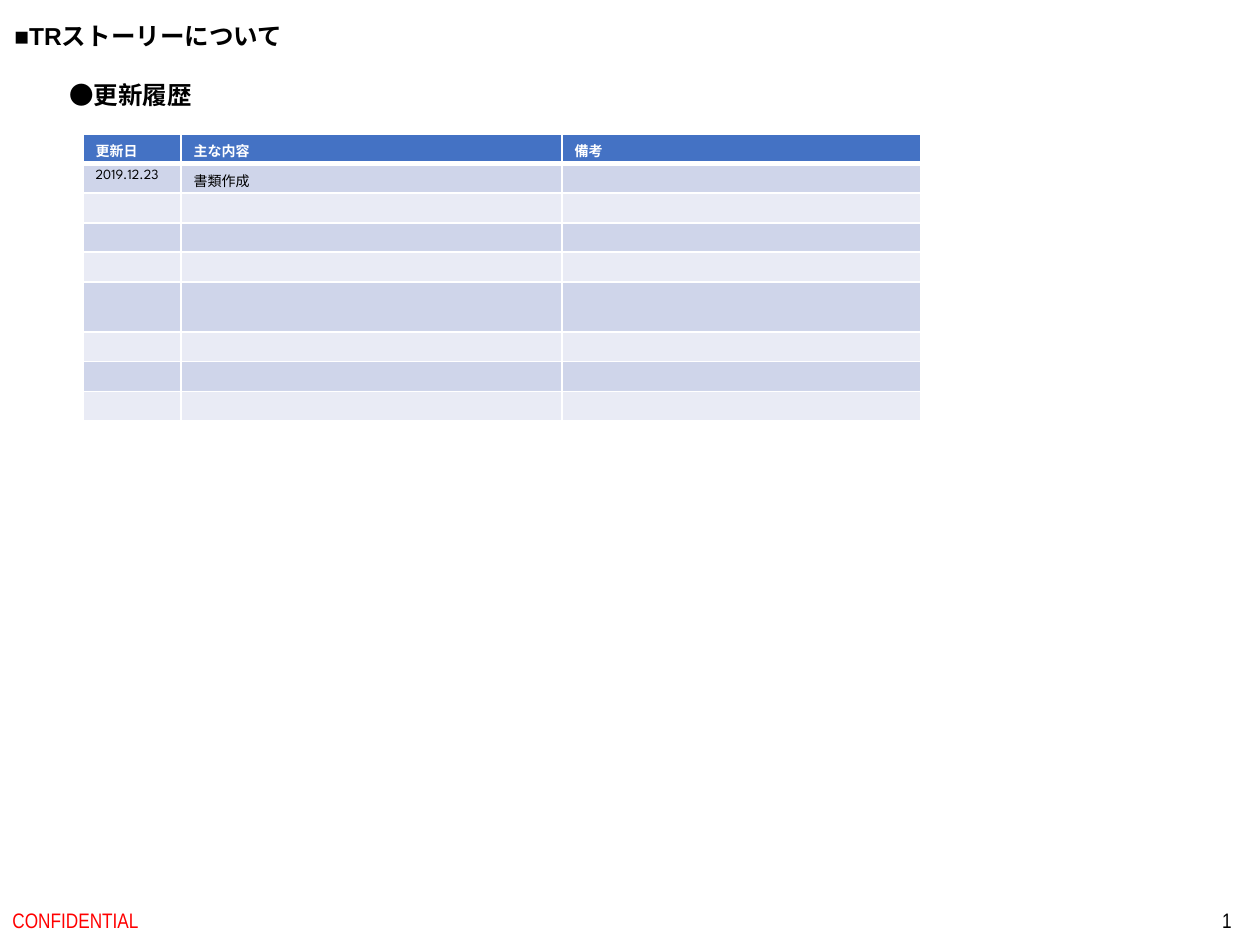
from lxml.etree import SubElement
from pptx import Presentation
from pptx.dml.color import RGBColor
from pptx.enum.text import MSO_ANCHOR, MSO_AUTO_SIZE, PP_ALIGN
from pptx.oxml import parse_xml
from pptx.oxml.ns import nsdecls, qn
from pptx.util import Pt

PX = 914400 // 126


def rgb(value):
    return RGBColor.from_string(value)


def add_run(p, text, size, font, color, bold=False):
    r = p.add_run()
    r.text = text
    r.font.size = Pt(size)
    r.font.name = font
    r.font.bold = bold
    r.font.color.rgb = rgb(color)


prs = Presentation()
prs.slide_width, prs.slide_height = 1260 * PX, 945 * PX
s = prs.slides.add_slide(prs.slide_layouts[6])

# Headings
headings = [
    ("■TRストーリーについて", 2, 15, 308, "Arial"),
    ("●更新履歴", 57, 74, 149, "League Spartan"),
]
for text, x, y, w, font in headings:
    tf = s.shapes.add_textbox(x * PX, y * PX, w * PX, 43 * PX).text_frame
    tf.word_wrap = False
    tf.auto_size = MSO_AUTO_SIZE.SHAPE_TO_FIT_TEXT
    add_run(tf.paragraphs[0], text, 14, font, "000000", True)

# Footer
footers = [
    ("CONFIDENTIAL", 0, 426, "FF0000", PP_ALIGN.LEFT),
    ("1", 960, 284, "000000", PP_ALIGN.RIGHT),
]
for text, x, w, color, align in footers:
    tf = s.shapes.add_textbox(x * PX, 895 * PX, w * PX, 50 * PX).text_frame
    tf.word_wrap = True
    tf.vertical_anchor = MSO_ANCHOR.MIDDLE
    p = tf.paragraphs[0]
    p.alignment = align
    add_run(p, text, 12, "Arial Narrow", color)

# Update history table
col_widths = [98, 381, 359]
row_heights = [29, 29, 30, 29, 30, 50, 29, 30, 29]
rows = [["更新日", "主な内容", "備考"], ["2019.12.23", "書類作成", ""]]
rows += [[""] * 3 for _ in row_heights[2:]]

table = s.shapes.add_table(len(rows), len(col_widths), 83 * PX, 134 * PX,
                           sum(col_widths) * PX, sum(row_heights) * PX).table
for column, w in zip(table.columns, col_widths):
    column.width = w * PX
for row, h in zip(table.rows, row_heights):
    row.height = h * PX

for i, texts in enumerate(rows):
    header = i == 0
    fill = "4472C4" if header else "CFD5EA" if i % 2 else "E9EBF5"
    for j, text in enumerate(texts):
        cell = table.cell(i, j)
        cell.fill.solid()
        cell.fill.fore_color.rgb = rgb(fill)
        p = cell.text_frame.paragraphs[0]
        if text:
            add_run(p, text, 8, "League Spartan", "FFFFFF" if header else "000000", header)
        else:
            # Small type keeps the empty rows low
            SubElement(p._p, qn("a:endParaRPr"), sz="800")

        # White cell borders, thicker under the header
        widths = {"L": 1, "R": 1, "T": 3 if i == 1 else 1, "B": 3 if header else 1}
        for k, (side, width) in enumerate(widths.items()):
            line = parse_xml(
                f'<a:ln{side} {nsdecls("a")} w="{Pt(width)}"><a:solidFill>'
                f'<a:srgbClr val="FFFFFF"/></a:solidFill></a:ln{side}>')
            cell._tc.get_or_add_tcPr().insert(k, line)

prs.save("out.pptx")
